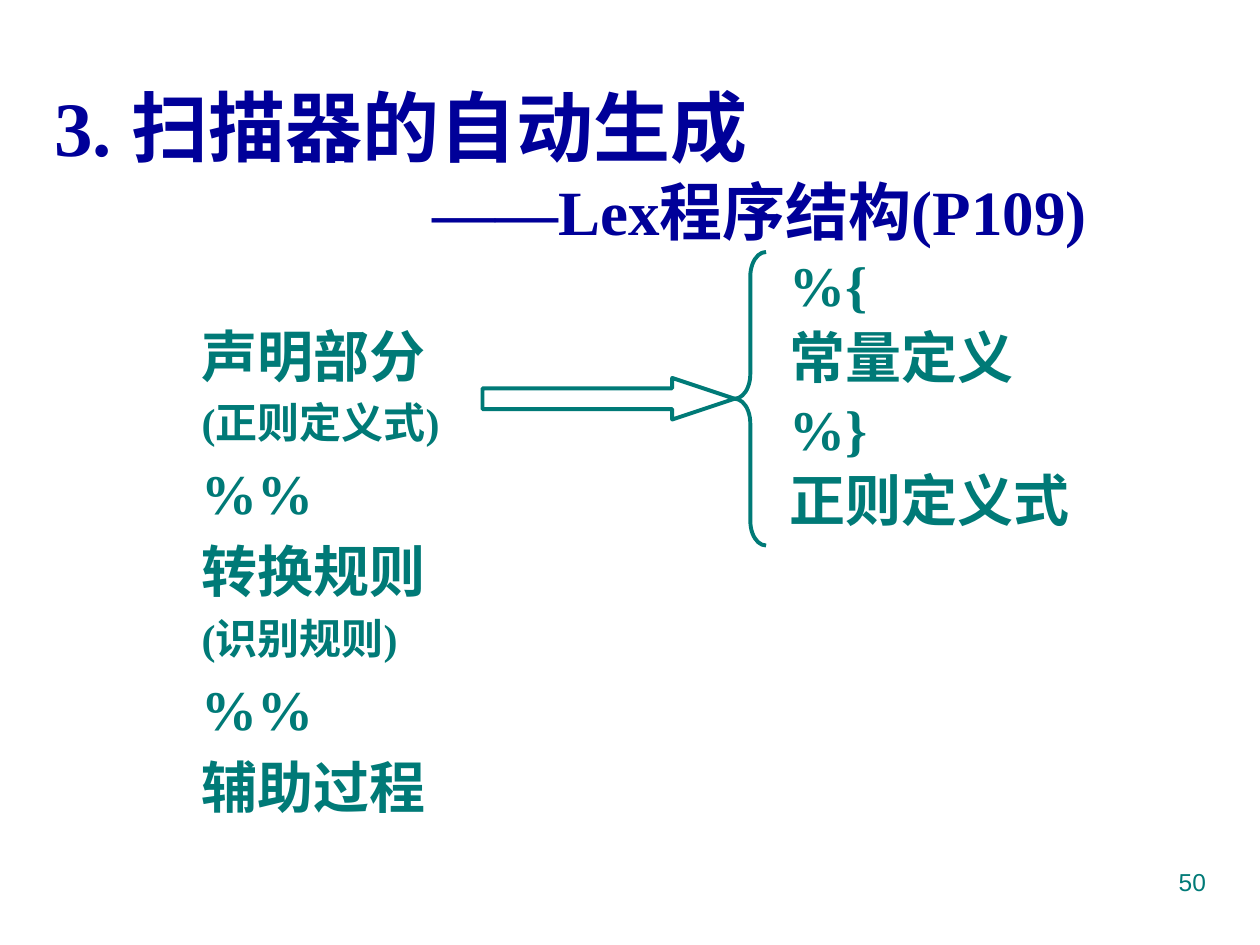
from lxml import etree
from pptx import Presentation
from pptx import util as u
from pptx.dml.color import RGBColor
from pptx.enum import shapes, text
from pptx.oxml.ns import qn

NAVY = "000099"
TEAL = "007A77"


def color(hex_value):
    return RGBColor.from_string(hex_value)


def write(box, lines, fill=TEAL, name="Times New Roman", bold=True,
          align=text.PP_ALIGN.LEFT, anchor=text.MSO_ANCHOR.TOP,
          spacing=1.0, before=0.0, hanging=0.0, indents=None):
    """Fill a box with (text, size) lines; before is a share of the size."""
    frame = box.text_frame
    frame.word_wrap = True
    frame.auto_size = text.MSO_AUTO_SIZE.NONE
    frame.vertical_anchor = anchor
    for index, (words, size) in enumerate(lines):
        para = frame.paragraphs[0] if index == 0 else frame.add_paragraph()
        left = indents[index] if indents else hanging
        props = para._p.get_or_add_pPr()
        props.set("marL", str(u.Inches(left)))
        props.set("indent", str(-u.Inches(hanging)))
        etree.SubElement(props, qn("a:buNone"))
        para.alignment = align
        para.line_spacing = spacing
        para.space_before = u.Pt(size * before if index else 0)
        span = para.add_run()
        span.text = words
        span.font.size = u.Pt(size)
        span.font.name = name
        span.font.bold = bold
        span.font.color.rgb = color(fill)


class SlideBuilder:
    """Holds the line style and the current slide."""

    def __init__(self, deck, line_color=TEAL, line_width=2.25):
        self.page = deck.slides.add_slide(deck.slide_layouts[1])
        self.line_color = line_color
        self.line_width = line_width

    def placeholder(self, index, place, lines, **style):
        box = self.page.placeholders[index]
        box.left, box.top, box.width, box.height = map(u.Inches, place)
        write(box, lines, **style)

    def textbox(self, place, lines, **style):
        box = self.page.shapes.add_textbox(*map(u.Inches, place))
        write(box, lines, **style)

    def outline(self, kind, place, adjustments):
        shape = self.page.shapes.add_shape(kind, *map(u.Inches, place))
        for index, value in enumerate(adjustments):
            shape.adjustments[index] = value
        shape.shadow.inherit = False
        shape.fill.background()
        shape.line.color.rgb = color(self.line_color)
        shape.line.width = u.Pt(self.line_width)


def main():
    deck = Presentation()
    deck.slide_width, deck.slide_height = u.Inches(10), u.Inches(7.5)
    slide = SlideBuilder(deck)

    # Title, with an indented second line
    slide.placeholder(
        0, (0.33, 0.68, 9.24, 1.24),
        [("3. 扫描器的自动生成", 44), ("——Lex程序结构(P109)", 36)],
        fill=NAVY, anchor=text.MSO_ANCHOR.MIDDLE, indents=(0, 3))

    # Parts of a Lex program
    slide.placeholder(
        1, (1.5, 2.5, 2.33, 4.33),
        [("声明部分", 32), ("(正则定义式)", 24), ("%%", 32),
         ("转换规则", 32), ("(识别规则)", 24), ("%%", 32),
         ("辅助过程", 32)],
        before=0.2, hanging=0.38)

    # Content of the declaration part
    declarations = ("%{", "常量定义", "%}", "正则定义式")
    slide.textbox((6.17, 2, 3.48, 2.5), [(words, 32) for words in declarations],
                  spacing=0.9, before=0.2, hanging=0.38)

    # Arrow and brace that link the two lists
    slide.outline(shapes.MSO_SHAPE.RIGHT_ARROW, (3.83, 3, 2, 0.33), (0.5, 1.5))
    slide.outline(shapes.MSO_SHAPE.LEFT_BRACE, (5.83, 2, 0.25, 2.33), (0.78, 0.5))

    # Page number
    slide.textbox((7.17, 6.83, 2.5, 0.52), [("50", 14)], name="Arial",
                  bold=False, align=text.PP_ALIGN.RIGHT)

    deck.save("out.pptx")


if __name__ == "__main__":
    main()
